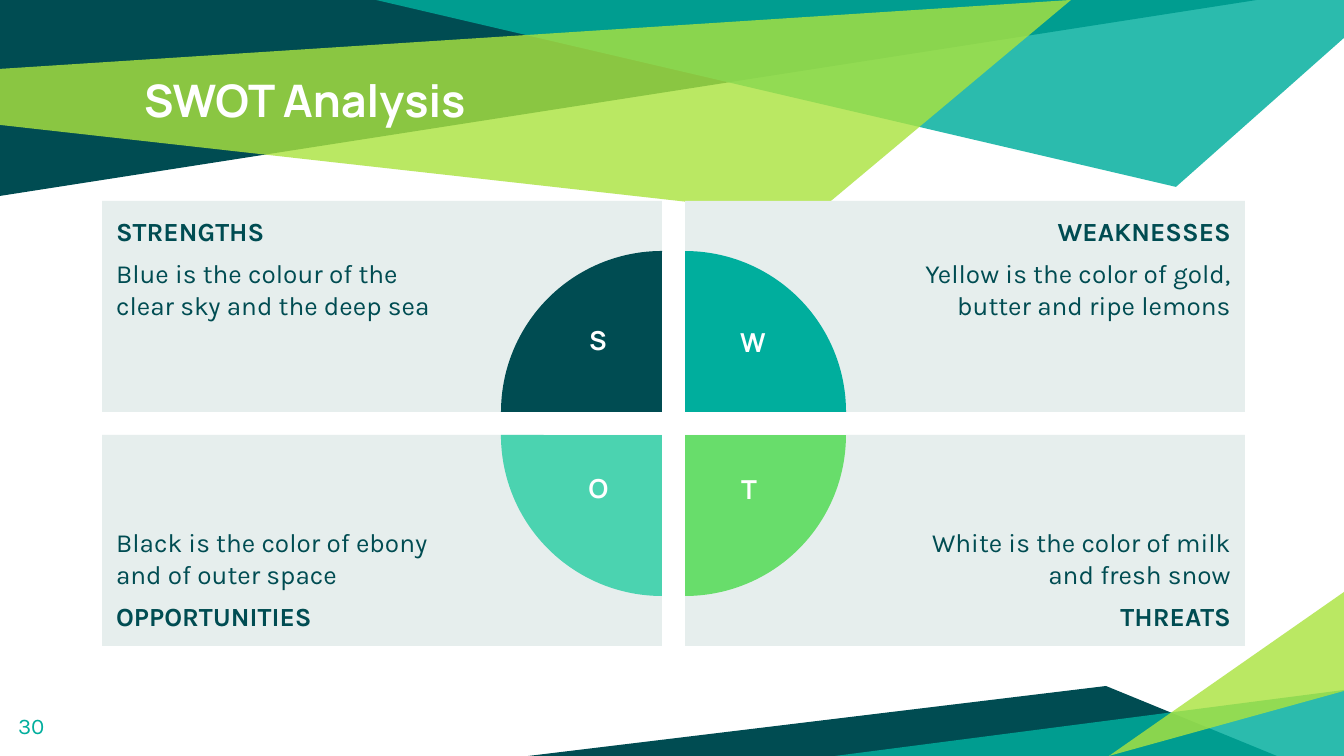
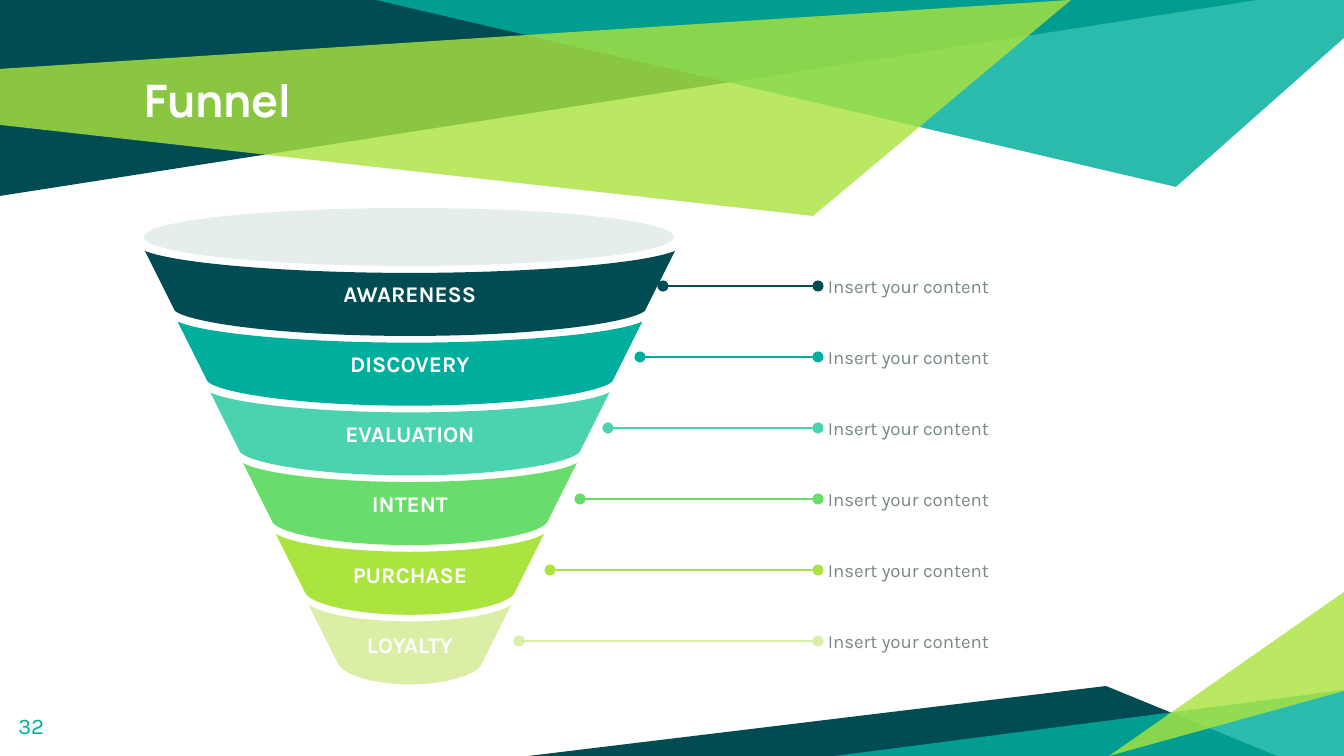
from dataclasses import dataclass
from pptx import Presentation
from pptx.dml.color import RGBColor as Rgb
from pptx.enum.shapes import MSO_CONNECTOR as Link, MSO_SHAPE as Kind
from pptx.enum.text import MSO_ANCHOR as Anchor, MSO_AUTO_SIZE as Fit, PP_ALIGN as Align
from pptx.oxml.ns import qn
from pptx.util import Pt
from lxml.etree import SubElement as Sub


@dataclass(frozen=True)
class Theme:
    dark: str = "004C52"
    teal: str = "00AE9D"
    mint: str = "4BD3B0"
    green: str = "68DD6B"
    lime: str = "ABE33F"
    pale: str = "DBEEA6"
    mist: str = "E6EEED"
    gray: str = "788788"
    white: str = "FFFFFF"
    head: str = "Manrope"
    body: str = "Karla"
    big: int = 24
    mid: int = 14
    small: int = 12
    note: int = 10
    gap: int = 6
    rule: float = 0.75


T = Theme()
WIDE, HIGH = 1344, 756
UNIT = 9144000 / WIDE
PAD = 14

BANDS = [
    (T.dark, 100, [(0, 0), (0, 196), (1257, 0)]),
    (T.teal, 83, [(376, 0), (1176, 187), (WIDE, 38), (WIDE, 0)]),
    (T.lime, 81, [(0, 69), (0, 125), (813, 216), (1071, 0)]),
    (T.dark, 100, [(528, HIGH), (1277, HIGH), (1106, 686)]),
    (T.teal, 83, [(WIDE, 690), (WIDE, HIGH), (835, HIGH)]),
    (T.lime, 81, [(WIDE, 592), (WIDE, 691), (1109, HIGH)]),
]

SWOT = [
    ("STRENGTHS", "Blue is the colour of the clear sky and the deep sea", 0, 0),
    ("WEAKNESSES", "Yellow is the color of gold, butter and ripe lemons", 1, 0),
    ("OPPORTUNITIES", "Black is the color of ebony and of outer space", 0, 1),
    ("THREATS", "White is the color of milk and fresh snow", 1, 1),
]

PIES = [(T.dark, 0, 0), (T.teal, 1, 0), (T.green, 1, 1), (T.mint, 0, 1)]

KEYS = [
    ("S", 575, 317, 46),
    ("W", 710, 319, 86),
    ("O", 570, 465, 57),
    ("T", 725, 466, 48),
]

NOTE = "Insert your content"
STEPS = [
    ("AWARENESS", T.dark, 663, NOTE),
    ("DISCOVERY", T.teal, 640, NOTE),
    ("EVALUATION", T.mint, 608, NOTE),
    ("INTENT", T.green, 580, NOTE),
    ("PURCHASE", T.lime, 550, NOTE),
    ("LOYALTY", T.pale, 519, NOTE),
]


def px(n):
    return round(n * UNIT)


def box(*nums):
    return [px(n) for n in nums]


def paint(shape, color, alpha=100):
    shape.shadow.inherit = False
    shape.fill.solid()
    shape.fill.fore_color.rgb = Rgb.from_string(color)
    shape.line.fill.background()
    if alpha < 100:
        tint = shape.fill._xPr.find(qn("a:solidFill"))[0]
        Sub(tint, qn("a:alpha")).set("val", str(alpha * 1000))
    return shape


def style(run, font, size, color, bold=False):
    run.font.name = font
    run.font.size = Pt(size)
    run.font.bold = bold
    run.font.color.rgb = Rgb.from_string(color)


def setup(frame, anchor=Anchor.TOP, pads=(PAD,) * 4):
    frame.word_wrap = True
    frame.auto_size = Fit.NONE
    frame.vertical_anchor = anchor
    (frame.margin_left, frame.margin_top,
     frame.margin_right, frame.margin_bottom) = box(*pads)


def write(frame, rows, align=Align.LEFT):
    for i, (text, *look) in enumerate(rows):
        par = frame.add_paragraph() if i else frame.paragraphs[0]
        par.alignment = align
        par.space_before = Pt(T.gap if i else 0)
        run = par.add_run()
        run.text = text
        style(run, *look)


def label(slide, area, row, align=Align.LEFT, anchor=Anchor.TOP, pads=(PAD,) * 4):
    frame = slide.shapes.add_textbox(*box(*area)).text_frame
    setup(frame, anchor, pads)
    write(frame, [row], align)


def poly(slide, dots, color, alpha=100):
    first, *rest = [box(*dot) for dot in dots]
    form = slide.shapes.build_freeform(*first, scale=1.0)
    form.add_line_segments(rest, close=True)
    return paint(form.convert_to_shape(), color, alpha)


def dress(layout, slide):
    for item in list(layout.placeholders):
        if item.placeholder_format.idx:
            item._element.getparent().remove(item._element)
    title = layout.placeholders[0]
    title.left, title.top, title.width, title.height = box(130, 59, 1083, 126)
    setup(title.text_frame)
    for i, (color, alpha, dots) in enumerate(BANDS):
        band = poly(slide, dots, color, alpha)
        layout.shapes._spTree.insert(2 + i, band._element)


def start(deck, layout, title, page):
    slide = deck.slides.add_slide(layout)
    frame = slide.shapes.title.text_frame
    setup(frame)
    write(frame, [(title, T.head, T.big, T.white, True)])
    label(slide, (4, 698, 81, 58), (page, T.body, T.small, T.teal))
    return slide


def swot(slide):
    left, top, wide, high, gap = 102, 201, 560, 211, 23
    side, far = 322, 202
    for name, text, col, row in SWOT:
        area = left + col * (wide + gap), top + row * (high + gap), wide, high
        card = paint(slide.shapes.add_shape(Kind.RECTANGLE, *box(*area)), T.mist)
        pads = (far, PAD, PAD, PAD) if col else (PAD, PAD, far, PAD)
        setup(card.text_frame, Anchor.BOTTOM if row else Anchor.TOP, pads)
        rows = [(name, T.body, T.mid, T.dark, True), (text, T.body, T.mid, T.dark)]
        write(card.text_frame, rows[::-1] if row else rows,
              Align.RIGHT if col else Align.LEFT)
    for turn, (color, col, row) in enumerate(PIES):
        area = 501 + col * gap, 251 + row * gap, side, side
        pie = paint(slide.shapes.add_shape(Kind.PIE, *box(*area)), color)
        pie.adjustments[0] = 108
        pie.adjustments[1] = 162
        pie.rotation = 90 * turn
    for key, x, y, span in KEYS:
        label(slide, (x, y, span, 59), (key, T.head, T.mid, T.white, True),
              Align.CENTER, pads=(PAD, 7, PAD, 7))


def arc(mid, y, half, sag, bend):
    (ax, ay), (bx, by) = bend
    side = [(-half, 0), (-ax * half, ay * sag), (-bx * half, by * sag), (0, sag)]
    knots = side + [(-x, drop) for x, drop in side[2::-1]]
    return [(mid + x, y + drop) for x, drop in knots]


def bowl(slide, rim, base, color):
    shape = poly(slide, rim[::3] + base[::3], color)
    lines = list(shape._element.iter(qn("a:lnTo")))
    curves = rim[1:4], rim[4:], base[1:4], base[4:]
    for line, knots in zip(lines[:2] + lines[3:], curves):
        line.tag = qn("a:cubicBezTo")
        line.remove(line[0])
        for x, y in knots:
            dot = Sub(line, qn("a:pt"))
            dot.set("x", str(px(x) - shape.left))
            dot.set("y", str(px(y) - shape.top))
    return shape


def funnel(slide):
    mid, top, step, lip = 410, 251, 70.7, 60
    lid = slide.shapes.add_shape(Kind.OVAL, *box(144, 208, 530, 58))
    paint(lid, T.mist)
    for i, (name, color, near, note) in enumerate(STEPS):
        y, trim = top + i * step, 32.7 * i
        rim = arc(mid, y, 265 - trim, 22 - i, ((0.87, 0.62), (0.42, 1)))
        base = arc(mid, y + lip, 235 - trim, 25 - i, ((0.93, 0.5), (0.53, 1)))
        tier = bowl(slide, rim, base[::-1], color)
        setup(tier.text_frame, Anchor.MIDDLE, (9, 5, 9, 5))
        write(tier.text_frame, [(name, T.body, T.small, T.white, True)], Align.CENTER)
        level = 286 + 71 * i
        wire(slide, near, 818, level, color)
        label(slide, (828, level - 25, 410, 51), (note, T.body, T.note, T.gray),
              anchor=Anchor.MIDDLE, pads=(0,) * 4)


def wire(slide, left, right, y, color):
    link = slide.shapes.add_connector(Link.STRAIGHT, *box(left, y, right, y))
    link.line.width = Pt(T.rule)
    link.line.color.rgb = Rgb.from_string(color)
    for end in ("a:headEnd", "a:tailEnd"):
        Sub(link.line._get_or_add_ln(), qn(end)).set("type", "oval")
    Sub(link._element.spPr, qn("a:effectLst"))


def main():
    deck = Presentation()
    deck.slide_width, deck.slide_height = box(WIDE, HIGH)
    layout = deck.slide_layouts[5]
    first = start(deck, layout, "SWOT Analysis", "30")
    dress(layout, first)
    swot(first)
    funnel(start(deck, layout, "Funnel", "32"))
    deck.save("out.pptx")


if __name__ == "__main__":
    main()
